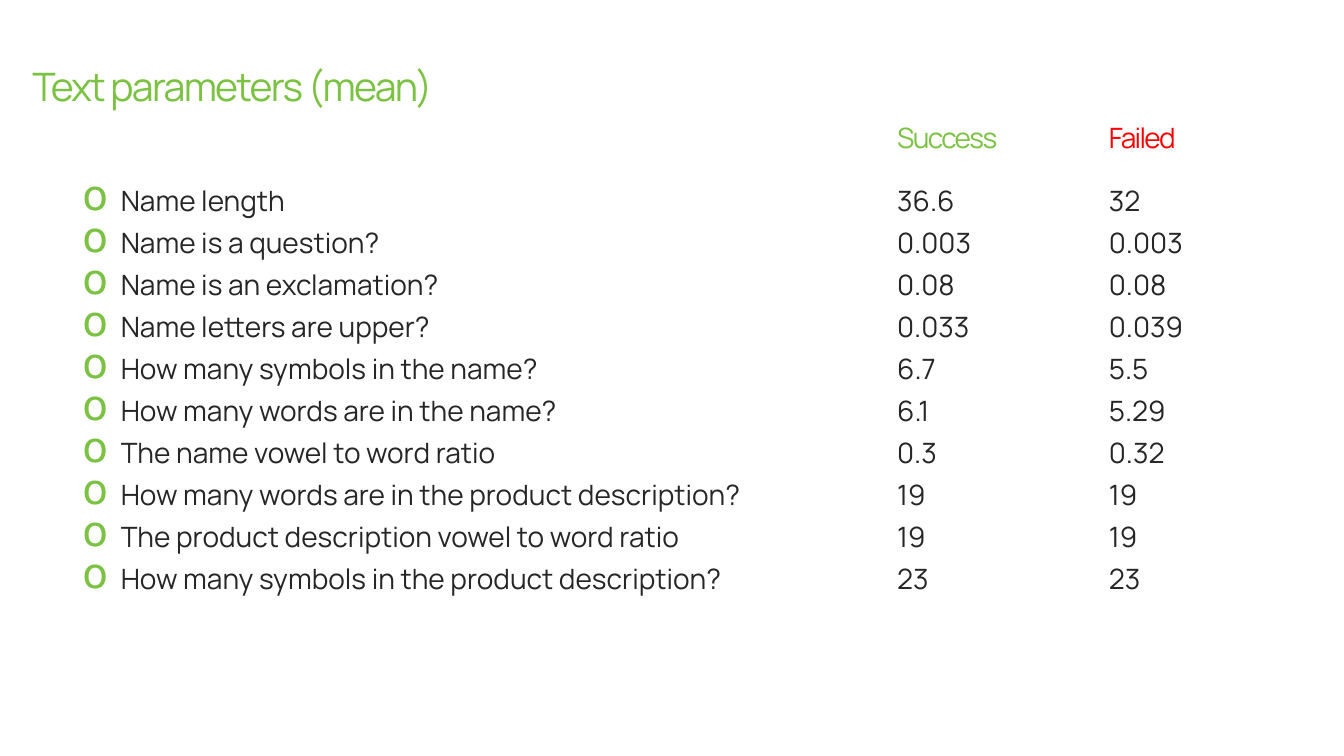
from lxml.etree import SubElement
from pptx import Presentation
from pptx.dml.color import RGBColor
from pptx.enum.text import MSO_ANCHOR as Anchor, MSO_AUTO_SIZE as Fit, PP_ALIGN as Align
from pptx.oxml.ns import qn
from pptx.util import Pt

PX = 9144
FONT = "Manrope"
GREEN = RGBColor(0x7B, 0xC2, 0x42)
RED = RGBColor(0xFF, 0x00, 0x00)
DARK = RGBColor(0x26, 0x26, 0x26)
WHITE = RGBColor(0xFF, 0xFF, 0xFF)

HEAD_TOP, LIST_TOP = 113, 177
ROWS = [
    ("Name length", "36.6", "32"),
    ("Name is a question?", "0.003", "0.003"),
    ("Name is an exclamation?", "0.08", "0.08"),
    ("Name letters are upper?", "0.033", "0.039"),
    ("How many symbols in the name?", "6.7", "5.5"),
    ("How many words are in the name?", "6.1", "5.29"),
    ("The name vowel to word ratio", "0.3", "0.32"),
    ("How many words are in the product description?", "19", "19"),
    ("The product description vowel to word ratio", "19", "19"),
    ("How many symbols in the product description?", "23", "23"),
]


def place(box, left, top, width, height):
    box.left, box.top = left * PX, top * PX
    box.width, box.height = width * PX, height * PX


def add_box(slide, *area):
    return slide.shapes.add_textbox(*(side * PX for side in area))


def set_frame(box, anchor):
    frame = box.text_frame
    frame.word_wrap = True
    frame.auto_size = Fit.NONE
    frame.vertical_anchor = anchor
    return frame


def add_run(para, text, size, color):
    para.alignment = Align.LEFT
    run = para.add_run()
    run.text = text
    run.font.name = FONT
    run.font.size = Pt(size)
    run.font.color.rgb = color
    return run


def add_mark(para):
    props = para._p.get_or_add_pPr()
    props.set("marL", str(38 * PX))
    props.set("indent", str(-38 * PX))
    tint = SubElement(props, qn("a:buClr"))
    SubElement(tint, qn("a:srgbClr"), val=str(GREEN))
    SubElement(props, qn("a:buSzPct"), val="150000")
    SubElement(props, qn("a:buChar"), char="o")


def fill_head(box, text, size, color):
    box.fill.solid()
    box.fill.fore_color.rgb = WHITE
    para = set_frame(box, Anchor.BOTTOM).paragraphs[0]
    para.line_spacing = 0.8
    run = add_run(para, text, size, color)
    run._r.get_or_add_rPr().set("spc", "-120")


def fill_list(box, items, marks=False):
    frame = set_frame(box, Anchor.TOP)
    for index, item in enumerate(items):
        para = frame.add_paragraph() if index else frame.paragraphs[0]
        para.space_before = Pt(6)
        add_run(para, item, 20, DARK)
        if marks:
            add_mark(para)


def add_column(slide, left, head, color, items):
    fill_head(add_box(slide, left, HEAD_TOP, 169, 45), head, 20, color)
    fill_list(add_box(slide, left, LIST_TOP, 104, 422), items)


def main():
    deck = Presentation()
    deck.slide_width, deck.slide_height = 1333 * PX, 750 * PX
    slide = deck.slides.add_slide(deck.slide_layouts[5])
    title = slide.shapes.title
    place(title, 22, 14, 450, 99)
    fill_head(title, "Text parameters (mean)", 28, GREEN)
    names, wins, fails = zip(*ROWS)
    fill_list(add_box(slide, 72, LIST_TOP, 714, 608), names, marks=True)
    add_column(slide, 880, "Success", GREEN, wins)
    add_column(slide, 1090, "Failed", RED, fails)
    deck.save("out.pptx")


if __name__ == "__main__":
    main()
